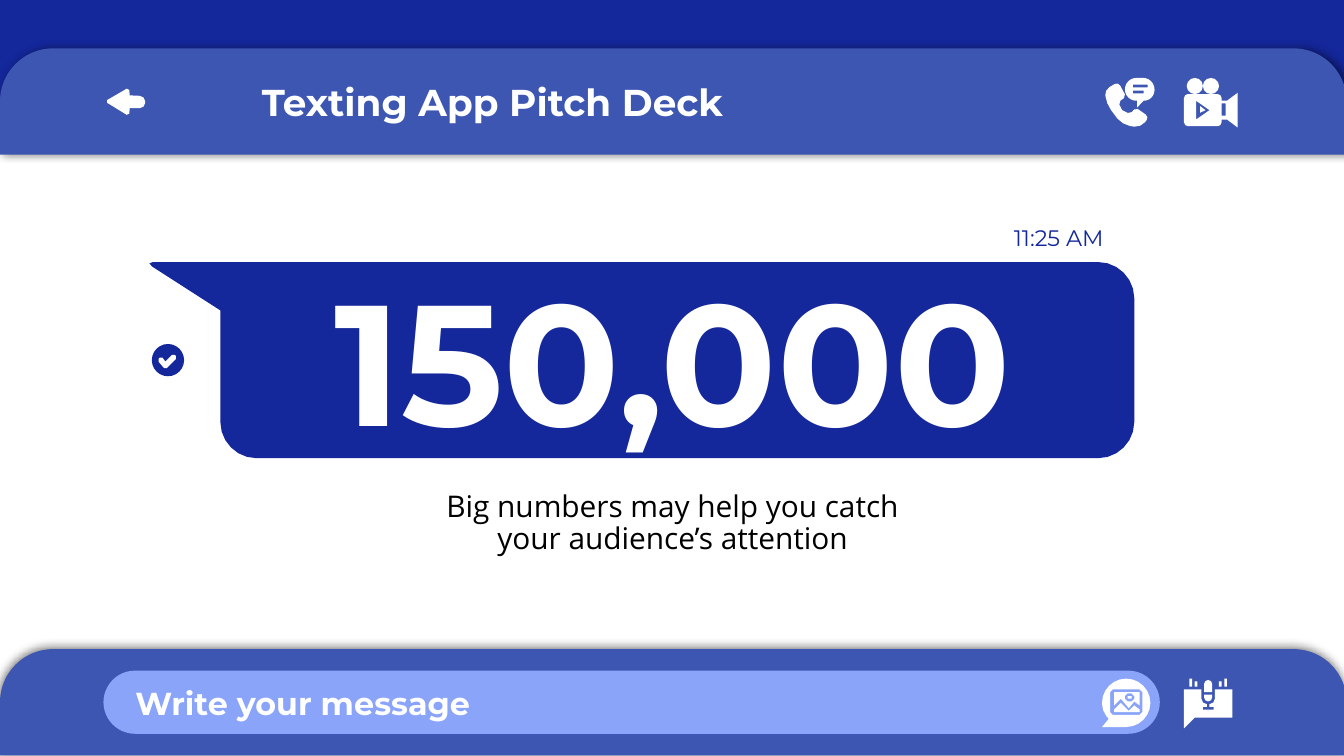
from math import dist

from lxml import etree
from pptx import Presentation
from pptx import util as u
from pptx.dml.color import RGBColor
from pptx.enum import shapes, text
from pptx.oxml.ns import qn

NAVY, BLUE, SKY, WHITE = "14279B", "3D56B2", "8AA4F9", "FFFFFF"

prs = Presentation()
prs.slide_width, prs.slide_height = u.Inches(10), u.Inches(5.625)
col = prs.slide_width / 100  # square grid: 100 columns, 56.25 rows
slide = prs.slides.add_slide(prs.slide_layouts[0])
tree = slide.shapes


def paint(shape, color):
    shape.fill.solid()
    shape.fill.fore_color.rgb = RGBColor.from_string(color)
    shape.line.fill.background()
    shape.shadow.inherit = False


def outline(color, *contours):
    """Draw contours as one shape, inner ones as holes; a corner is (x, y[, radius])."""
    builder = None
    for contour in contours:
        points = []
        for i, (x, y, *radius) in enumerate(contour):
            if not radius:
                points.append((x * col, y * col))
                continue
            ends = []
            for other in (contour[i - 1], contour[(i + 1) % len(contour)]):
                share = radius[0] / dist((x, y), other[:2])
                ends.append(((other[0] - x) * share, (other[1] - y) * share))
            (ax, ay), (bx, by) = ends
            steps = 1 if radius[0] <= 0.2 else 2 if radius[0] <= 0.6 else 6
            for step in range(steps + 1):
                t = step / steps
                a = (1 - t) ** 3 + 1.35 * t * (1 - t) ** 2
                b = t ** 3 + 1.35 * t ** 2 * (1 - t)
                points.append(((x + a * ax + b * bx) * col, (y + a * ay + b * by) * col))
        if builder is None:
            builder = tree.build_freeform(*points[0])
        else:
            builder.move_to(*points[0])
        builder.add_line_segments(points[1:], close=True)
    paint(builder.convert_to_shape(), color)


# Panels, input field and round parts: kind, box, colour, corner shares, shadow angle
kinds = shapes.MSO_SHAPE
for kind, box, color, corners, angle in [
    (kinds.RECTANGLE, (0, -0.1, 100.2, 10.2), NAVY, [], None),
    (kinds.ROUND_2_SAME_RECTANGLE, (0, 3.6, 100.2, 7.9), BLUE, [0.5, 0], 0),
    (kinds.ROUND_2_SAME_RECTANGLE, (0, 48.3, 100.2, 7.9), BLUE, [0.5, 0], 237),
    (kinds.ROUNDED_RECTANGLE, (7.7, 49.9, 78.6, 4.7), SKY, [0.5], None),
    (kinds.OVAL, (11.3, 25.6, 2.4, 2.4), NAVY, [], None),
    (kinds.OVAL, (88.3, 5.8, 1.2, 1.2), WHITE, [], None),
    (kinds.OVAL, (89.5, 5.8, 1.2, 1.2), WHITE, [], None),
]:
    panel = tree.add_shape(kind, *(int(v * col) for v in box))
    paint(panel, color)
    for i, share in enumerate(corners):
        panel.adjustments[i] = share
    if angle is not None:
        effects = panel._element.spPr.find(qn("a:effectLst"))
        shadow = etree.SubElement(effects, qn("a:outerShdw"), blurRad=str(u.Pt(4.5)),
                                  dist=str(u.Pt(1.5)), dir=str(angle * 60000),
                                  algn="bl", rotWithShape="0")
        black = etree.SubElement(shadow, qn("a:srgbClr"), val="000000")
        etree.SubElement(black, qn("a:alpha"), val="50000")

# Speech bubble and check mark
outline(NAVY, [(10.8, 19.5, 0.6), (84.4, 19.5, 2.7), (84.4, 34.1, 2.7),
               (16.4, 34.1, 2.7), (16.4, 23.1)])
outline(WHITE, [(11.7, 26.8, 0.15), (12, 26.5, 0.15), (12.3, 26.9), (12.9, 26.3, 0.15),
                (13.2, 26.6, 0.15), (12.3, 27.5, 0.15)])

# Phone with speech bubble
outline(WHITE, [(83.2, 6.1, 0.3), (83.8, 7.2, 0.2), (83.2, 7.6, 0.2), (83.5, 8.2),
                (84.1, 8.5, 0.2), (84.5, 8, 0.2), (85.5, 8.7, 0.3), (84.9, 9.5, 0.5),
                (83.5, 9.3, 0.6), (82.3, 7.7, 0.6), (82.2, 6.7, 0.4)])
outline(WHITE, [(83.7, 5.8, 0.85), (85.9, 5.8, 0.85), (85.9, 7.5, 0.8), (85.1, 7.5),
                (84.6, 8), (84.6, 7.5), (83.7, 7.5, 0.85)],
        [(84.3, 6.3), (85.4, 6.3), (85.4, 6.5), (84.3, 6.5)],
        [(84.3, 6.75), (85.1, 6.75), (85.1, 6.95), (84.3, 6.95)])

# Back arrow
outline(WHITE, [(7.8, 7.55, 0.2), (9.6, 6.5, 0.2), (9.65, 7.1), (10.8, 7.15, 0.4),
                (10.8, 8.05, 0.4), (9.65, 8.05), (9.6, 8.65, 0.2)])

# Video camera
outline(WHITE, [(88.1, 7, 0.3), (90.9, 7, 0.3), (90.9, 7.5), (91.3, 7.5),
                (92.1, 6.9), (92.1, 9.5), (91.3, 8.9), (90.9, 8.9),
                (90.9, 9.4, 0.3), (88.1, 9.4, 0.3)],
        [(89, 7.5), (90, 8.2), (89, 8.9)],
        [(89.3, 7.9), (89.7, 8.2), (89.3, 8.4)],
        [(90.9, 7.7), (91.2, 7.7), (91.2, 8.6), (90.9, 8.6)])

# Voice message: bubble, microphone and sound bars
bars = [[(x, y), (x + 0.2, y), (x + 0.2, 51.1), (x, 51.1)]
        for x, y in [(88.5, 50.5), (88.9, 50.7), (90.7, 50.7), (91.1, 50.5)]]
outline(WHITE, [(88.1, 51.3), (89.4, 51.3), (89.4, 52.4, 0.4), (89.8, 52.4),
                (89.8, 52.6), (89.5, 52.6), (89.5, 52.8), (90.3, 52.8), (90.3, 52.6),
                (90, 52.6), (90, 52.4), (90.4, 52.4, 0.4), (90.4, 51.3),
                (91.7, 51.3), (91.7, 53.4), (88.9, 53.4), (88.1, 54.2)],
        [(89.6, 50.6, 0.3), (90.2, 50.6, 0.3), (90.2, 51.5), (89.6, 51.5)],
        [(89.6, 51.7), (90.2, 51.7), (90.2, 52.2, 0.3), (89.6, 52.2, 0.3)],
        *bars)

# Picture message: bubble, frame, sky, sun and hills
outline(WHITE, [(82, 50.5, 1.8), (85.6, 50.5, 1.8), (85.6, 54.1, 1.8), (82, 54.1),
                (82.5, 53.5), (82, 52.9, 0.5)],
        [(82.6, 51.3, 0.2), (85, 51.3, 0.2), (85, 53.2, 0.2), (82.6, 53.2, 0.2)],
        [(82.9, 51.5), (84.8, 51.5), (84.8, 52.5), (84.4, 52.2), (84, 52.7),
         (83.4, 52), (82.9, 52.5)],
        [(83.7, 51.6, 0.2), (84.4, 51.6, 0.2), (84.4, 52.2, 0.2), (83.7, 52.2, 0.2)],
        [(83.9, 51.8), (84.2, 51.8), (84.2, 52), (83.9, 52)],
        [(82.9, 52.8), (83.4, 52.3), (84, 52.9), (84.4, 52.5), (84.8, 52.8),
         (84.8, 53), (82.9, 53)])

# Wording: holder, text, box, anchor, paragraph format, font format, colour
align, anchors = text.PP_ALIGN, text.MSO_ANCHOR
big_number, caption = slide.placeholders
for holder, words, box, anchor, para, font, color in [
    (big_number, "150,000", (19, 17.9, 62.1, 17.4), anchors.BOTTOM,
     dict(alignment=align.CENTER),
     dict(name="Montserrat", size=u.Pt(92), bold=True), WHITE),
    (caption, "Big numbers may help you catch your audience’s attention",
     (29.7, 35.6, 40.7, 7.5), anchors.TOP,
     dict(alignment=align.CENTER, line_spacing=0.9, space_before=u.Pt(0)),
     dict(name="Open Sans", size=u.Pt(16)), "000000"),
    (None, "11:25 AM", (72.1, 15.7, 11, 3.8), anchors.TOP,
     dict(alignment=align.RIGHT), dict(name="Montserrat", size=u.Pt(12)), NAVY),
    (None, "Texting App Pitch Deck", (18.5, 4.9, 37.3, 5.4), anchors.TOP,
     dict(alignment=align.LEFT),
     dict(name="Montserrat", size=u.Pt(20), bold=True), WHITE),
    (None, "Write your message", (9.1, 49.9, 37.3, 4.7), anchors.TOP,
     dict(alignment=align.LEFT),
     dict(name="Montserrat", size=u.Pt(17), bold=True), WHITE),
]:
    holder = holder or tree.add_textbox(0, 0, 0, 0)
    tree._spTree.append(holder._element)  # in front of the bubble
    frame = holder.text_frame
    frame.text = words
    paragraph = frame.paragraphs[0]
    edges = ("left", "top", "width", "height")
    margins = {f"margin_{side}": u.Inches(0.1) for side in ("left", "top", "right", "bottom")}
    for target, values in [
        (holder, {edge: int(v * col) for edge, v in zip(edges, box)}),
        (frame, dict(margins, word_wrap=True, vertical_anchor=anchor,
                     auto_size=text.MSO_AUTO_SIZE.NONE)),
        (paragraph, para),
        (paragraph.font, font),
    ]:
        for key, value in values.items():
            setattr(target, key, value)
    paragraph.font.color.rgb = RGBColor.from_string(color)

prs.save("out.pptx")
